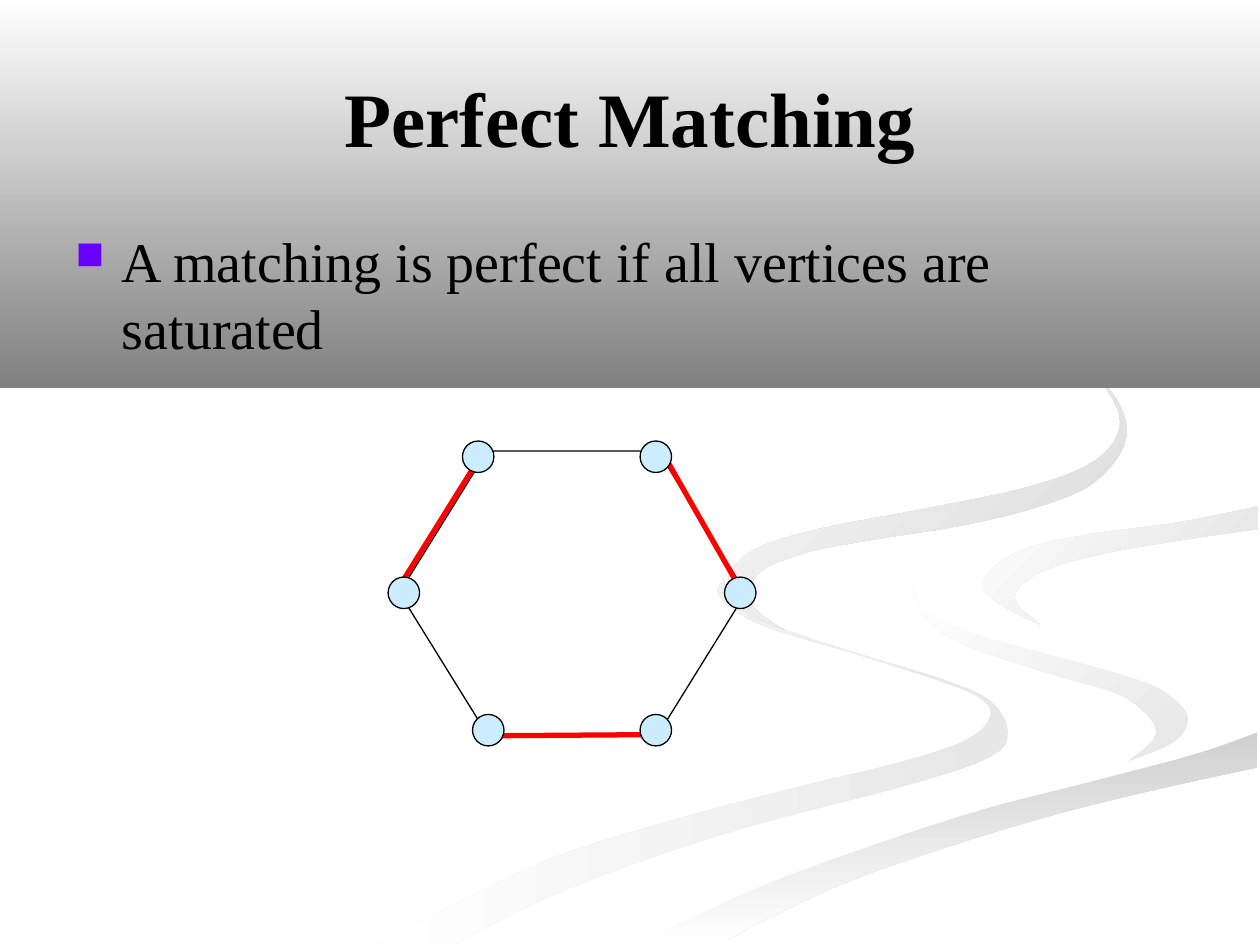
"""Build the slide that defines a perfect matching on a hexagon graph."""
import itertools

import pptx
import pptx.dml.color
import pptx.enum.shapes
import pptx.enum.text
import pptx.oxml
import pptx.oxml.ns
import pptx.util

Inches = pptx.util.Inches
Pt = pptx.util.Pt
ANCHOR = pptx.enum.text.MSO_ANCHOR
ALIGN = pptx.enum.text.PP_ALIGN
SHAPE = pptx.enum.shapes.MSO_SHAPE

WIDTH, HEIGHT = 10, 7.5
BAND_HEIGHT = 3.08
VERTEX_SIZE = 0.25
VERTEX_ROWS = {3.5: (3.67, 5.08), 4.58: (3.08, 5.75), 5.67: (3.75, 5.08)}
MATCHED_EDGES = {
    "upper left": (3.84, 3.58, 3.16, 4.67),
    "upper right": (5.92, 4.75, 5.25, 3.58),
    "bottom": (5.25, 5.83, 3.83, 5.84),
}


def color(hex_value):
    """Turn a hex string into a colour."""
    return pptx.dml.color.RGBColor.from_string(hex_value)


def curve(*knots, steps=4):
    """Return points on a Catmull-Rom curve through the knots."""
    padded = [knots[0], *knots, knots[-1]]
    points = []
    for a, b, c, d in zip(padded, padded[1:], padded[2:], padded[3:]):
        for t in (step / steps for step in range(steps)):
            points.append(tuple(
                q + t / 2 * (r - p + t * (2 * p - 5 * q + 4 * r - s + t * (3 * (q - r) + s - p)))
                for p, q, r, s in zip(a, b, c, d)))
    return points + [knots[-1]]


def between(near_edge, far_edge):
    """Join two edges that run the same way into one closed outline."""
    return near_edge + far_edge[::-1]


def backdrop():
    """Return outline, first colour, last colour and angle of each piece, back to front."""
    left_ribbon = between(
        curve((5.75, 4.59), (5.7, 4.72), (5.93, 4.91), (6.31, 5.05), (6.79, 5.19),
              (7.41, 5.39), (7.76, 5.53), (7.86, 5.68), (7.67, 5.87), (7.14, 6.05),
              (6.16, 6.29), (4.99, 6.61), (4.17, 6.9), (3, 7.49)),
        curve((5.75, 4.59), (5.79, 4.73), (6.14, 4.96), (6.82, 5.19), (7.45, 5.38),
              (7.86, 5.56), (8, 5.81), (7.86, 6.01), (7.21, 6.23), (5.94, 6.56),
              (4.99, 6.87), (4.31, 7.14), (3.61, 7.49)))

    bend_shore = curve((7.24, 4.64), (7.33, 4.83), (7.74, 5.03), (8.5, 5.24), (9.05, 5.4),
                       (9.3, 5.53), (9.43, 5.7), (9.32, 5.89), (8.94, 6.05))
    right_ribbon = between(bend_shore, curve(
        (7.24, 4.64), (7.33, 4.88), (7.66, 5.12), (8.38, 5.36), (8.92, 5.53),
        (9.18, 5.81), (8.94, 6.05)))

    south_shore = curve((9.98, 5.81), (9.5, 5.98), (8.67, 6.2), (7.64, 6.47), (6.3, 6.93),
                        (5.69, 7.19), (5.03, 7.49))
    bottom_ribbon = between(south_shore, curve(
        (9.98, 6.09), (9.03, 6.3), (8.21, 6.51), (7.22, 6.82), (6.49, 7.1), (5.71, 7.49)))

    east_shore = curve((9.98, 4.02), (9.33, 4.15), (8.65, 4.24), (8.1, 4.37), (7.81, 4.6),
                       (7.91, 4.78), (8.26, 4.96))
    short_ribbon = between(east_shore, curve(
        (9.98, 4.2), (9.36, 4.29), (8.78, 4.39), (8.28, 4.53), (8.05, 4.74), (8.26, 4.96)))

    west_shore = curve((8.94, 6.05), (7.8, 6.34), (6.63, 6.68), (5.73, 7.03), (4.77, 7.49))
    inlet_shore = curve((9.99, 5.38), (9.04, 5.19), (8.26, 4.96))
    north_shore = curve((9.99, 3.87), (9.2, 4.01), (8.3, 4.15), (7.55, 4.32), (7.24, 4.64))
    white_bank = (bend_shore + west_shore + south_shore[::-1]
                  + inlet_shore + east_shore[::-1] + north_shore)

    top_ribbon = between(
        curve((7.62, 2.33), (8.21, 2.61), (8.64, 2.91), (8.9, 3.24), (8.92, 3.54),
              (8.67, 3.84), (8.25, 4.02), (7.64, 4.17), (6.83, 4.3), (6.35, 4.4),
              (6.01, 4.56), (5.97, 4.8), (6.22, 5)),
        curve((7.62, 2.33), (8.26, 2.66), (8.7, 2.99), (8.89, 3.35), (8.7, 3.65),
              (8.18, 3.86), (7.33, 4.04), (6.49, 4.2), (5.97, 4.37), (5.77, 4.62),
              (5.9, 4.84), (6.22, 5)))
    top_band = between([(0, 0), (WIDTH, 0)], [(0, BAND_HEIGHT), (WIDTH, BAND_HEIGHT)])

    return [
        (left_ribbon, "E7E7E7", "FFFFFF", 180),
        (right_ribbon, "E7E7E7", "FFFFFF", 225),
        (bottom_ribbon, "D0D0D0", "FFFFFF", 90),
        (white_bank, "FFFFFF", "FFFFFF", 0),
        (short_ribbon, "DFDFDF", "FFFFFF", 225),
        (top_ribbon, "D7D7D7", "FFFFFF", 225),
        (top_band, "FFFFFF", "808080", 90),
    ]


def write(frame, text, size, bold=False, align=ALIGN.LEFT, anchor=ANCHOR.TOP,
          font="Times New Roman", ink="000000"):
    """Put one formatted paragraph in a text frame and return it."""
    frame.word_wrap = True
    frame.vertical_anchor = anchor
    paragraph = frame.paragraphs[0]
    paragraph.alignment = align
    run = paragraph.add_run()
    run.text = text
    run.font.name = font
    run.font.size = Pt(size)
    run.font.bold = bold
    run.font.color.rgb = color(ink)
    return paragraph


class MatchingSlide:
    """Holds the style and the current slide."""

    ink = "000000"
    vertex_fill = "CCECFF"
    matched = "FF0000"
    bullet = "6600FF"

    def __init__(self, slide):
        self.shapes = slide.shapes

    def fill(self, figure, first, last, angle=0):
        """Fill a shape with one colour, or with a gradient when the two differ."""
        if first == last:
            figure.fill.solid()
            figure.fill.fore_color.rgb = color(first)
            return
        figure.fill.gradient()
        figure.fill.gradient_angle = 360 - angle
        for stop, shade in zip(figure.fill.gradient_stops, (first, last)):
            stop.color.rgb = color(shade)

    def backdrop_piece(self, outline, first, last, angle):
        """Draw a closed outline without a border."""
        corners = [(Inches(x), Inches(y)) for x, y in outline]
        builder = self.shapes.build_freeform(*corners[0])
        builder.add_line_segments(corners[1:], close=True)
        piece = builder.convert_to_shape()
        piece.shadow.inherit = False
        piece.line.fill.background()
        self.fill(piece, first, last, angle)

    def text(self, box, text, size, **style):
        """Add a text box and return its paragraph."""
        frame = self.shapes.add_textbox(*map(Inches, box)).text_frame
        return write(frame, text, size, ink=self.ink, **style)

    def bullet_point(self, box, text, size, indent=0.37):
        """Add a text box with a square bullet and a hanging indent."""
        paragraph = self.text(box, text, size)
        paragraph.space_before = Pt(8)
        properties = paragraph._p.get_or_add_pPr()
        properties.set("marL", str(Inches(indent)))
        properties.set("indent", str(Inches(-indent)))
        namespace = pptx.oxml.ns.nsdecls("a")
        for mark in (f'<a:buClr {namespace}><a:srgbClr val="{self.bullet}"/></a:buClr>',
                     f'<a:buSzPct {namespace} val="70000"/>',
                     f'<a:buChar {namespace} char="■"/>'):
            properties.append(pptx.oxml.parse_xml(mark))

    def outlined(self, kind, box):
        """Add an unfilled preset shape with a thin outline and return it."""
        figure = self.shapes.add_shape(kind, *map(Inches, box))
        figure.shadow.inherit = False
        figure.fill.background()
        figure.line.color.rgb = color(self.ink)
        figure.line.width = Pt(0.75)
        return figure

    def vertex(self, left, top):
        """Draw one vertex of the graph."""
        dot = self.outlined(SHAPE.OVAL, (left, top, VERTEX_SIZE, VERTEX_SIZE))
        self.fill(dot, self.vertex_fill, self.vertex_fill)

    def matched_edge(self, *ends):
        """Draw one thick edge of the matching."""
        edge = self.shapes.add_connector(
            pptx.enum.shapes.MSO_CONNECTOR.STRAIGHT, *map(Inches, ends))
        edge.line.color.rgb = color(self.matched)
        edge.line.width = Pt(3)
        edge._element.spPr.append(
            pptx.oxml.parse_xml(f'<a:effectLst {pptx.oxml.ns.nsdecls("a")}/>'))


def main():
    """Build and save the slide."""
    deck = pptx.Presentation()
    deck.slide_width, deck.slide_height = Inches(WIDTH), Inches(HEIGHT)
    page = MatchingSlide(deck.slides.add_slide(deck.slide_layouts[6]))
    for piece in backdrop():
        page.backdrop_piece(*piece)
    page.text((0.5, 0.3, 9, 1.25), "Perfect Matching", 44,
              bold=True, align=ALIGN.CENTER, anchor=ANCHOR.MIDDLE)
    page.bullet_point((0.5, 1.75, 9, 4.95),
                      "A matching is perfect if all vertices are saturated", 32)
    cycle = page.outlined(SHAPE.HEXAGON, (3.17, 3.58, 2.75, 2.25))
    cycle.adjustments[0] = 0.31
    for ends in MATCHED_EDGES.values():
        page.matched_edge(*ends)
    for top, lefts in VERTEX_ROWS.items():
        for left, row_top in zip(lefts, itertools.repeat(top)):
            page.vertex(left, row_top)
    deck.save("out.pptx")


if __name__ == "__main__":
    main()
